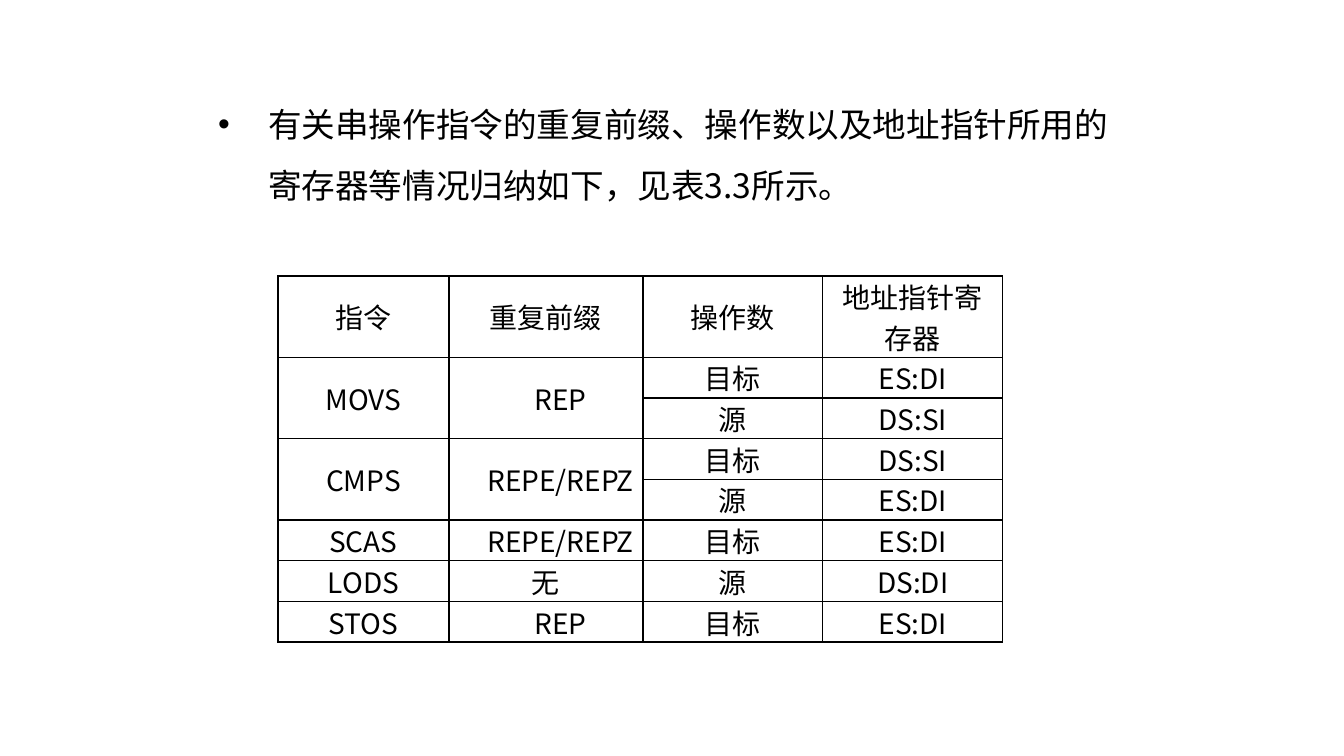
import pptx
import pptx.dml.color
import pptx.enum.text
import pptx.oxml
import pptx.oxml.ns
import pptx.util

PX = 914400 / 100.8
FONT = "Noto Sans CJK SC"
COLORS = {"ink": "000000", "line": "000000", "page": "FFFFFF"}

INTRO = "有关串操作指令的重复前缀、操作数以及地址指针所用的寄存器等情况归纳如下，见表3.3所示。"
HEADINGS = ["指令", "重复前缀", "操作数", "地址指针寄存器"]
# Instruction, repeat prefix, and its (operand, pointer register) pairs
INSTRUCTIONS = [
    ("MOVS", "REP", [("目标", "ES:DI"), ("源", "DS:SI")]),
    ("CMPS", "REPE/REPZ", [("目标", "DS:SI"), ("源", "ES:DI")]),
    ("SCAS", "REPE/REPZ", [("目标", "ES:DI")]),
    ("LODS", "无", [("源", "DS:DI")]),
    ("STOS", "REP", [("目标", "ES:DI")]),
]
COLUMN_WIDTHS = [171, 194, 180, 180]
HEADER_HEIGHT, ROW_HEIGHT = 68, 38
PREFIX_INDENT = 29


def px(length):
    return pptx.util.Emu(round(length * PX))


def color(name):
    return pptx.dml.color.RGBColor.from_string(COLORS[name])


def add_run(para, text, size):
    span = para.add_run()
    span.text = text
    span.font.size = pptx.util.Pt(size)
    span.font.bold = False
    span.font.name = FONT
    span.font.color.rgb = color("ink")
    east_asian = pptx.oxml.parse_xml(
        f'<a:ea {pptx.oxml.ns.nsdecls("a")} typeface="{FONT}"/>')
    span.font._element.append(east_asian)


def set_indent(para, left, first=0):
    properties = para._p.get_or_add_pPr()
    properties.set("marL", str(px(left)))
    properties.set("indent", str(px(first)))


def set_borders(cell):
    properties = cell._tc.get_or_add_tcPr()
    for side in ("lnL", "lnR", "lnT", "lnB"):
        properties.append(pptx.oxml.parse_xml(
            f'<a:{side} {pptx.oxml.ns.nsdecls("a")} w="{pptx.util.Pt(1)}">'
            f'<a:solidFill><a:srgbClr val="{COLORS["line"]}"/></a:solidFill>'
            f'</a:{side}>'))


def fill_cell(cell, text, indent=0):
    cell.vertical_anchor = pptx.enum.text.MSO_ANCHOR.MIDDLE
    cell.margin_left = cell.margin_right = px(8)
    cell.margin_top = cell.margin_bottom = 0
    para = cell.text_frame.paragraphs[0]
    para.alignment = pptx.enum.text.PP_ALIGN.CENTER
    if indent:
        set_indent(para, indent)
    add_run(para, text, 20)


def place_intro(body, box):
    body.left, body.top, body.width, body.height = map(px, box)
    para = body.text_frame.paragraphs[0]
    para.line_spacing = 1.5
    set_indent(para, 50, -50)
    add_run(para, INTRO, 24)


def add_instruction_table(page, left, top):
    row_count = 1 + sum(len(pairs) for _, _, pairs in INSTRUCTIONS)
    height = HEADER_HEIGHT + ROW_HEIGHT * (row_count - 1)
    table = page.shapes.add_table(
        row_count, len(HEADINGS), px(left), px(top),
        px(sum(COLUMN_WIDTHS)), px(height)).table
    table.first_row = table.horz_banding = False
    for column, width in zip(table.columns, COLUMN_WIDTHS):
        column.width = px(width)
    for index, row in enumerate(table.rows):
        row.height = px(ROW_HEIGHT if index else HEADER_HEIGHT)
    for cell in table.iter_cells():
        set_borders(cell)
        cell.fill.solid()
        cell.fill.fore_color.rgb = color("page")

    # Header row
    for column, heading in enumerate(HEADINGS):
        fill_cell(table.cell(0, column), heading)

    # One group of rows per instruction
    first = 1
    for name, prefix, pairs in INSTRUCTIONS:
        last = first + len(pairs) - 1
        if last > first:
            for column in (0, 1):
                table.cell(first, column).merge(table.cell(last, column))
        fill_cell(table.cell(first, 0), name)
        indent = PREFIX_INDENT if prefix.startswith("REP") else 0
        fill_cell(table.cell(first, 1), prefix, indent)
        for row, (operand, register) in enumerate(pairs, first):
            fill_cell(table.cell(row, 2), operand)
            fill_cell(table.cell(row, 3), register)
        first = last + 1


def main():
    deck = pptx.Presentation()
    deck.slide_width, deck.slide_height = px(1344), px(756)
    page = deck.slides.add_slide(deck.slide_layouts[1])
    page.background.fill.solid()
    page.background.fill.fore_color.rgb = color("page")

    # The page has body text but no title
    title = page.shapes.title._element
    title.getparent().remove(title)
    place_intro(page.placeholders[1], (208, 79, 937, 594))
    add_instruction_table(page, 278, 276)
    deck.save("out.pptx")


if __name__ == "__main__":
    main()
